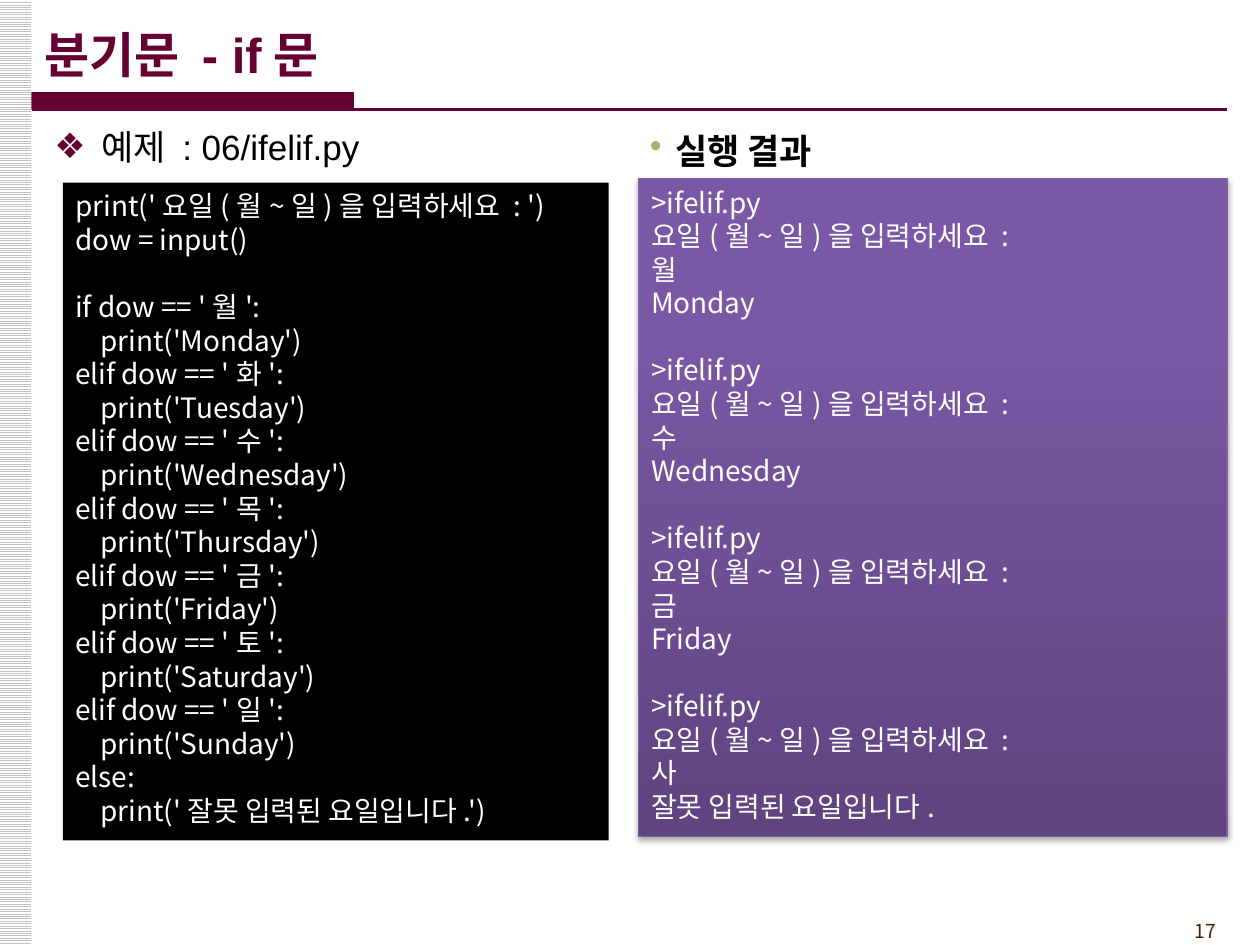
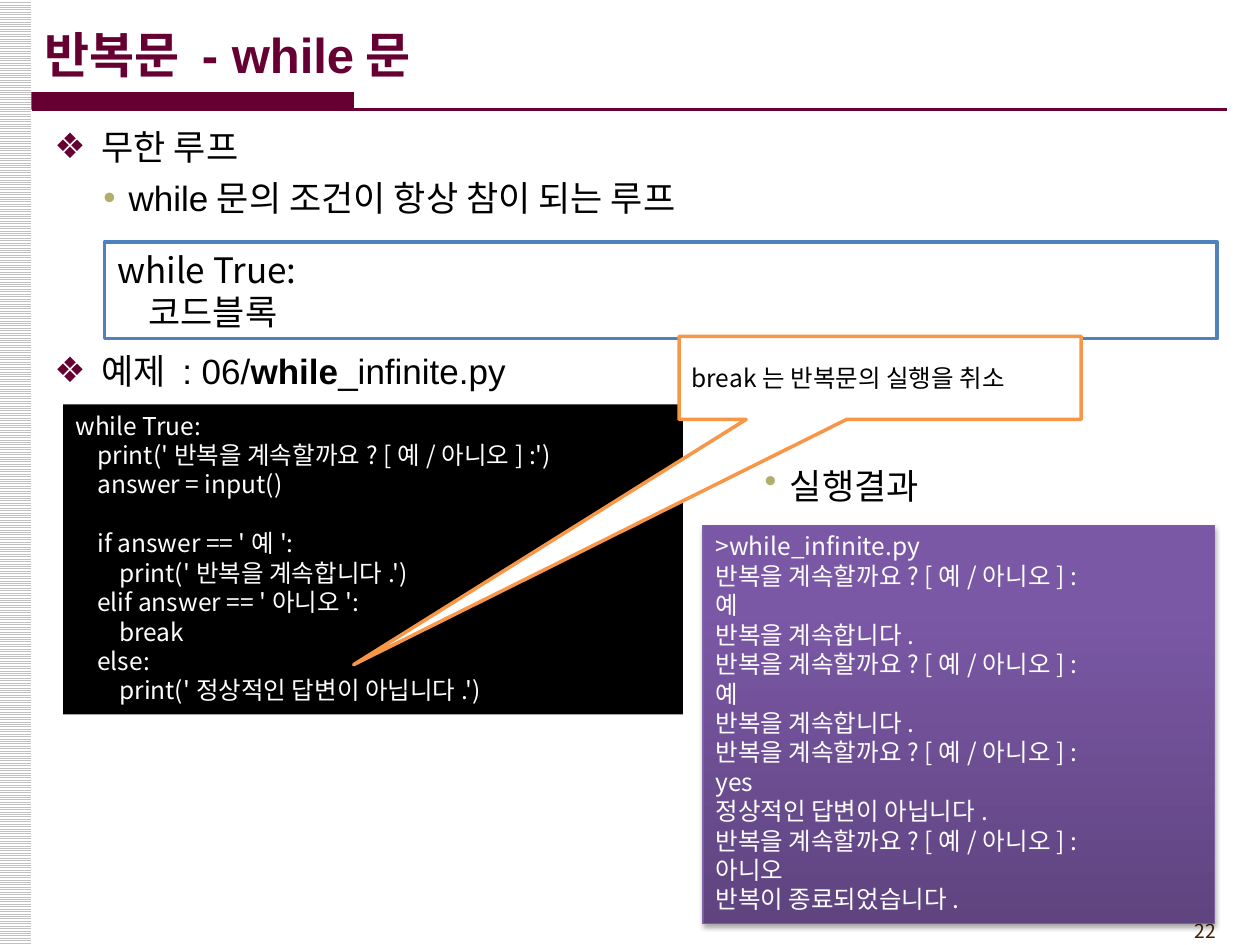
import copy

import lxml.etree
import pptx
import pptx.dml.color
import pptx.enum.dml
import pptx.enum.shapes
import pptx.enum.text
import pptx.oxml.ns
import pptx.util

Pt = pptx.util.Pt
qn = pptx.oxml.ns.qn
SHAPES = pptx.enum.shapes.MSO_SHAPE
ALIGN = pptx.enum.text.PP_ALIGN
ANCHOR = pptx.enum.text.MSO_ANCHOR

COLORS = {
    "wine": "660033", "olive": "B1AE6B", "stripe": "C0C0C0", "number": "452103",
    "black": "000000", "white": "FFFFFF", "blue": "4F81BD", "orange": "F79646",
    "purple_line": "7D60A0", "purple_dark": "5F4480", "purple": "7B58A6", "purple_light": "7C57A8",
}
RGB = {name: pptx.dml.color.RGBColor.from_string(value) for name, value in COLORS.items()}
PURPLE_STOPS = [(0, "purple_dark"), (0.8, "purple"), (1, "purple_light")]
HANGUL_FONT = "Noto Sans CJK KR"

BULLETS = {
    "diamond": {"char": "❖", "color": "wine", "left": 27, "hanging": 27},
    "dot": {"char": "•", "color": "olive", "left": 42.5, "hanging": 14.4},
}
STYLES = {
    "title": {"font": {"name": "Arial", "size": Pt(28), "bold": True}, "color": "wine", "line": 37},
    "item": {"font": {"name": "Arial", "size": Pt(20)}, "color": "black", "line": 26, "bullet": "diamond"},
    "subitem": {"font": {"name": "Arial", "size": Pt(20)}, "color": "black", "line": 26, "bullet": "dot"},
    "result_bold": {"font": {"name": HANGUL_FONT, "size": Pt(20), "bold": True}, "color": "black",
                    "line": 28, "bullet": "dot"},
    "result": {"font": {"name": HANGUL_FONT, "size": Pt(20)}, "color": "black", "line": 28, "bullet": "dot"},
    "number": {"font": {"name": HANGUL_FONT, "size": Pt(11)}, "color": "number", "line": 13.2,
               "align": ALIGN.RIGHT},
    "syntax": {"font": {"name": HANGUL_FONT, "size": Pt(20)}, "color": "black", "line": 24,
               "align": ALIGN.JUSTIFY},
    "code": {"font": {"name": HANGUL_FONT, "size": Pt(16)}, "color": "white", "line": 19.2,
             "align": ALIGN.JUSTIFY},
    "small_code": {"font": {"name": HANGUL_FONT, "size": Pt(14)}, "color": "white", "line": 16.8,
                   "align": ALIGN.JUSTIFY},
    "callout": {"font": {"name": HANGUL_FONT, "size": Pt(14)}, "color": "black", "line": 16.8},
}


def write_paragraph(frame, runs, style_name, space_before=0):
    """Fill the empty first paragraph or add one; runs are (text, bold or None) pairs."""
    style = STYLES[style_name]
    paragraph = frame.paragraphs[0] if not frame.text else frame.add_paragraph()
    layout = {"alignment": style.get("align", ALIGN.LEFT), "line_spacing": Pt(style["line"]),
              "space_before": Pt(space_before), "space_after": Pt(0)}
    for attribute, value in layout.items():
        setattr(paragraph, attribute, value)
    if "bullet" in style:
        bullet = BULLETS[style["bullet"]]
        paragraph.level = 1 if style["bullet"] == "dot" else 0
        properties = paragraph._p.get_or_add_pPr()
        properties.set("marL", str(int(Pt(bullet["left"]))))
        properties.set("indent", str(-int(Pt(bullet["hanging"]))))
        color = lxml.etree.SubElement(properties, qn("a:buClr"))
        lxml.etree.SubElement(color, qn("a:srgbClr"), val=COLORS[bullet["color"]])
        lxml.etree.SubElement(properties, qn("a:buChar"), char=bullet["char"])
    for text, bold in runs:
        run = paragraph.add_run()
        run.text = text
        for attribute, value in style["font"].items():
            setattr(run.font, attribute, value)
        if bold is not None:
            run.font.bold = bold
        run.font.color.rgb = RGB[style["color"]]
        lxml.etree.SubElement(run._r.get_or_add_rPr(), qn("a:ea"), typeface=HANGUL_FONT)


def add_box(slide, place, text="", style_name="code", fill=None, line=None, line_width=2,
            kind=SHAPES.RECTANGLE, anchor=ANCHOR.TOP):
    """Add a box with one paragraph per line; an empty line becomes space before the next one."""
    shape = slide.shapes.add_shape(kind, *map(Pt, place))
    shape.shadow.inherit = False
    if fill == "gradient":
        shape.fill.gradient()
        shape.fill.gradient_angle = 90
        stops = shape._element.spPr.find(".//" + qn("a:gsLst"))
        stops.append(copy.deepcopy(stops[-1]))
        for stop, (position, color) in zip(shape.fill.gradient_stops, PURPLE_STOPS):
            stop.position = position
            stop.color.rgb = RGB[color]
        effects = shape._element.spPr.find(qn("a:effectLst"))
        shadow = lxml.etree.SubElement(effects, qn("a:outerShdw"), blurRad=str(int(Pt(3.1))),
                                       dist=str(int(Pt(1.8))), dir="5400000", rotWithShape="0")
        shadow_color = lxml.etree.SubElement(shadow, qn("a:srgbClr"), val=COLORS["black"])
        lxml.etree.SubElement(shadow_color, qn("a:alpha"), val="35000")
    elif fill:
        shape.fill.solid()
        shape.fill.fore_color.rgb = RGB[fill]
    else:
        shape.fill.background()
    if line:
        shape.line.color.rgb = RGB[line]
        shape.line.width = Pt(line_width)
    else:
        shape.line.fill.background()
    shape.text_frame.word_wrap = True
    shape.text_frame.vertical_anchor = anchor
    gap = 0
    for code_line in text.splitlines():
        if code_line.strip():
            write_paragraph(shape.text_frame, [(code_line, None)], style_name, gap)
            gap = 0
        else:
            gap += STYLES[style_name]["line"]
    return shape


IF_CODE = """print('요일(월~일)을 입력하세요 : ')
dow = input()

if dow == '월':
    print('Monday')
elif dow == '화':
    print('Tuesday')
elif dow == '수':
    print('Wednesday')
elif dow == '목':
    print('Thursday')
elif dow == '금':
    print('Friday')
elif dow == '토':
    print('Saturday')
elif dow == '일':
    print('Sunday')
else:
    print('잘못 입력된 요일입니다.')"""

WHILE_CODE = """while True:
    print('반복을 계속할까요? [예/아니오] :')
    answer = input()

    if answer == '예':
        print('반복을 계속합니다.')
    elif answer == '아니오': 
        break
    else:
        print('정상적인 답변이 아닙니다.')"""

day_answers = [("월", "Monday"), ("수", "Wednesday"), ("금", "Friday"), ("사", "잘못 입력된 요일입니다.")]
if_output = "\n\n".join(f">ifelif.py\n요일(월~일)을 입력하세요 :\n{answer}\n{reply}"
                        for answer, reply in day_answers)
loop_answers = [("예", "반복을 계속합니다."), ("예", "반복을 계속합니다."),
                ("yes", "정상적인 답변이 아닙니다."), ("아니오", "반복이 종료되었습니다.")]
while_output = "\n".join([">while_infinite.py"] + [f"반복을 계속할까요? [예/아니오] :\n{answer}\n{reply}"
                                                   for answer, reply in loop_answers])

PURPLE_PANEL = {"fill": "gradient", "line": "purple_line", "line_width": 0.75}
pages = [
    {
        "title": "분기문 - if문",
        "number": "17",
        "body": [("item", 0, [("예제 : 06/ifelif.py", None)])],
        "boxes": [
            {"place": (36, 104.4, 311.8, 375.8), "text": IF_CODE, "fill": "black"},
            {"place": (365, 102.2, 336.2, 375.8), "text": if_output, **PURPLE_PANEL},
            {"place": (336.2, 66.2, 318.2, 54), "text": "실행 결과", "style_name": "result_bold"},
        ],
    },
    {
        "title": "반복문 - while문",
        "number": "22",
        "body": [
            ("item", 0, [("무한 루프", None)]),
            ("subitem", 3, [("while문의 조건이 항상 참이 되는 루프", None)]),
            ("item", 73, [("예제 : 06/", None), ("while", True), ("_infinite.py", False)]),
        ],
        "boxes": [
            {"place": (59.8, 138.2, 635.8, 55.4), "text": "while True:\n    코드블록",
             "style_name": "syntax", "fill": "white", "line": "blue"},
            {"place": (36, 231.1, 354.2, 177.1), "text": WHILE_CODE, "style_name": "small_code",
             "fill": "black"},
            {"place": (401.8, 300.2, 292.3, 227.5), "text": while_output, "style_name": "small_code",
             **PURPLE_PANEL},
            {"place": (401.8, 257.8, 252, 39.6), "text": "실행결과", "style_name": "result",
             "fill": "white"},
        ],
    },
]

presentation = pptx.Presentation()
presentation.slide_width = Pt(720)
presentation.slide_height = Pt(540)

for page in pages:
    slide = presentation.slides.add_slide(presentation.slide_layouts[1])

    stripes = add_box(slide, (-0.7, 0, 18.7, 540))
    stripes.fill.patterned()
    stripes.fill.pattern = pptx.enum.dml.MSO_PATTERN.LIGHT_HORIZONTAL
    stripes.fill.fore_color.rgb = RGB["stripe"]
    stripes.fill.back_color.rgb = RGB["white"]
    add_box(slide, (642.2, 522, 59.8, 20.9), page["number"], "number")
    add_box(slide, (18, 52.6, 184.3, 10), fill="wine")
    rule = slide.shapes.add_connector(pptx.enum.shapes.MSO_CONNECTOR.STRAIGHT,
                                      Pt(18), Pt(62.6), Pt(701.3), Pt(62.6))
    rule.line.color.rgb = RGB["wine"]
    rule.line.width = Pt(1.5)
    lxml.etree.SubElement(rule._element.spPr, qn("a:effectLst"))

    title, body = slide.shapes.title, slide.placeholders[1]
    for placeholder, place, anchor in [(title, (18, 6.5, 672.5, 45.4), ANCHOR.MIDDLE),
                                       (body, (23.8, 66.2, 684, 450), ANCHOR.TOP)]:
        for attribute, value in zip(("left", "top", "width", "height"), place):
            setattr(placeholder, attribute, Pt(value))
        placeholder.text_frame.auto_size = pptx.enum.text.MSO_AUTO_SIZE.NONE
        placeholder.text_frame.word_wrap = True
        placeholder.text_frame.vertical_anchor = anchor
    write_paragraph(title.text_frame, [(page["title"], None)], "title")
    for style_name, space_before, runs in page["body"]:
        write_paragraph(body.text_frame, runs, style_name, space_before)

    for box in page["boxes"]:
        add_box(slide, **box)

break_callout = add_box(slide, (388.1, 192.2, 229.7, 47.5), "break는 반복문의 실행을 취소", "callout",
                        fill="white", line="orange", kind=SHAPES.RECTANGULAR_CALLOUT, anchor=ANCHOR.MIDDLE)
break_callout.adjustments[0] = -1.31
break_callout.adjustments[1] = 3.45

presentation.save("out.pptx")
